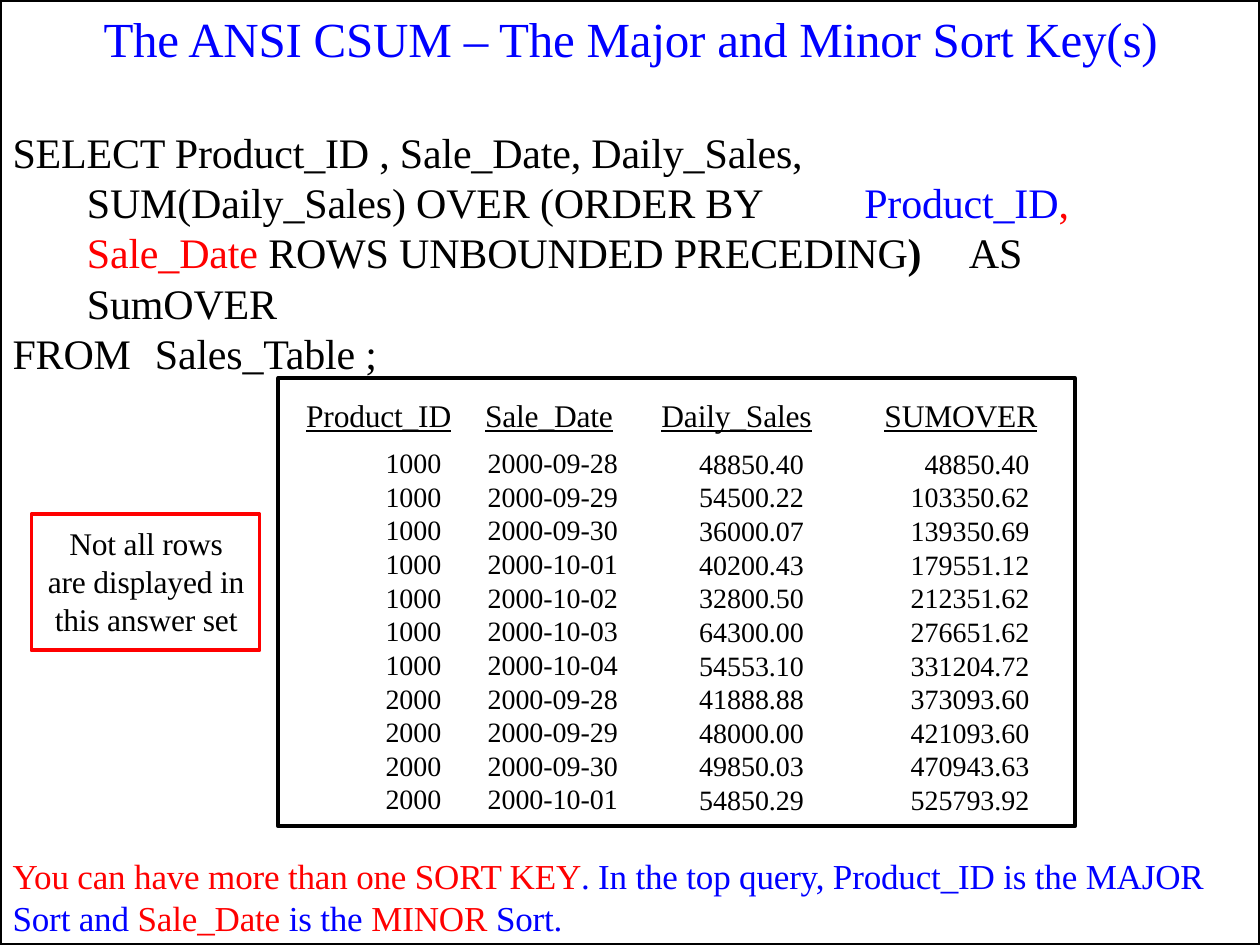
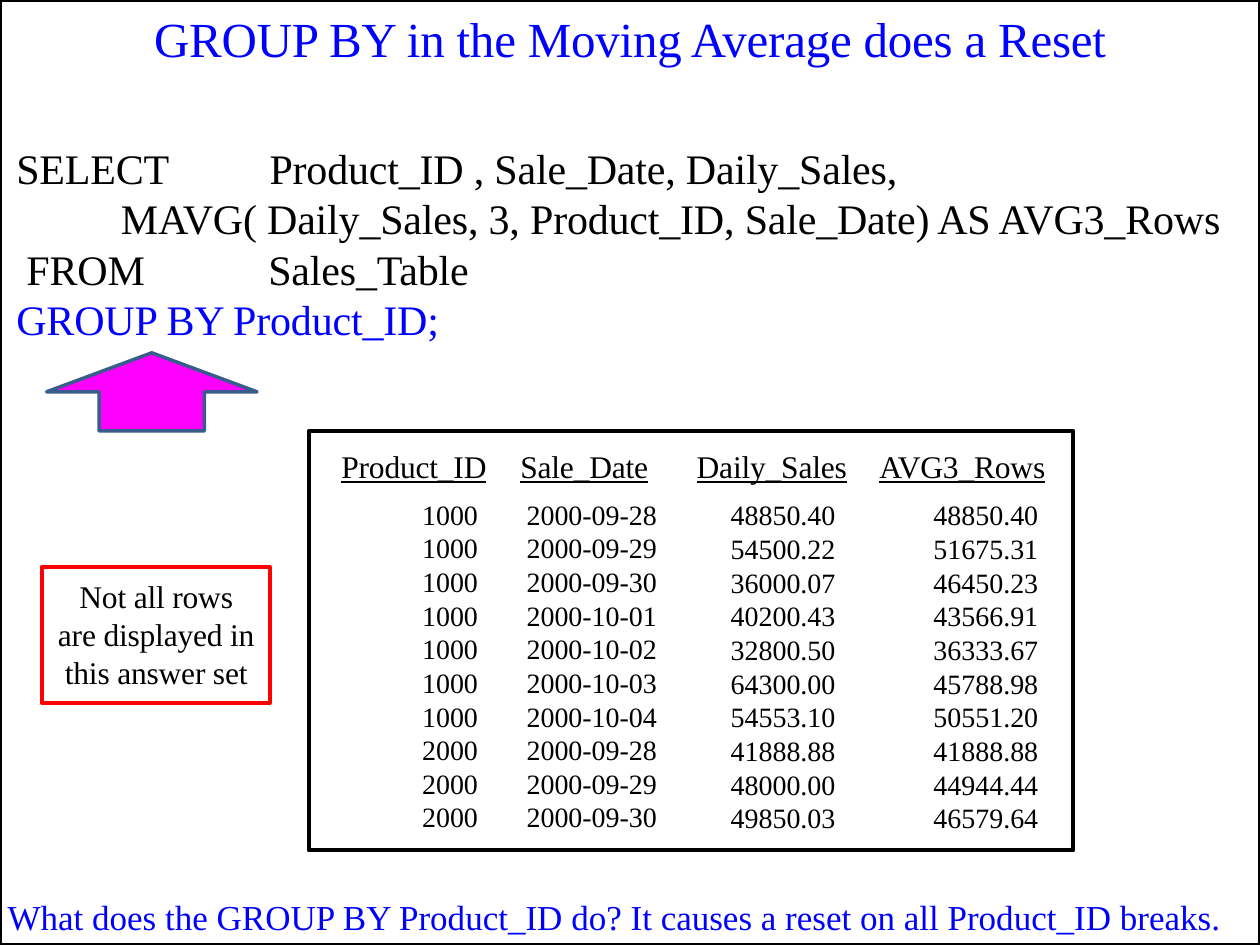
"""Build two slides on SQL ordered analytics, each with a query, an answer set and a remark."""
from lxml.etree import SubElement
from pptx import Presentation
from pptx.dml.color import RGBColor
from pptx.enum.shapes import MSO_SHAPE as SHAPE
from pptx.enum.text import PP_ALIGN as ALIGN
from pptx.oxml.ns import qn
from pptx.util import Inches, Pt

BLACK = RGBColor(0x00, 0x00, 0x00)
BLUE = RGBColor(0x00, 0x00, 0xFF)
RED = RGBColor(0xFF, 0x00, 0x00)
MAGENTA = RGBColor(0xFF, 0x00, 0xFF)
STEEL = RGBColor(0x38, 0x5D, 0x8A)
FONT = "Times New Roman"
COLS, ROWS = 100, 75
TABLE_ROW = 2.67
NOTE = ["Not all rows", "are displayed in", "this answer set"]

DATES = ["2000-09-28", "2000-09-29", "2000-09-30", "2000-10-01", "2000-10-02",
         "2000-10-03", "2000-10-04", "2000-09-28", "2000-09-29", "2000-09-30",
         "2000-10-01"]
SALES = ["48850.40", "54500.22", "36000.07", "40200.43", "32800.50", "64300.00",
         "54553.10", "41888.88", "48000.00", "49850.03", "54850.29"]
PRODUCTS = ["1000"] * 7 + ["2000"] * 4
SUMS = ["48850.40", "103350.62", "139350.69", "179551.12", "212351.62",
        "276651.62", "331204.72", "373093.60", "421093.60", "470943.63",
        "525793.92"]
AVERAGES = ["48850.40", "51675.31", "46450.23", "43566.91", "36333.67",
            "45788.98", "50551.20", "41888.88", "44944.44", "46579.64"]


def unit(n):
    return Inches(n / 10)


class Deck:
    def __init__(self):
        self.prs = Presentation()
        self.prs.slide_width, self.prs.slide_height = unit(COLS), unit(ROWS)
        self.s = None

    def slide(self, title, left, width):
        self.s = self.prs.slides.add_slide(self.prs.slide_layouts[6])
        self.shape((0, 0, COLS, ROWS), BLACK, 2)
        self.text((left, 0.5, width, 4.9), [[(title, BLUE)]], 28, align=ALIGN.CENTER)

    def shape(self, at, line, weight, fill=None, kind=SHAPE.RECTANGLE):
        sp = self.s.shapes.add_shape(kind, *map(unit, at))
        sp.shadow.inherit = False
        if fill is None:
            sp.fill.background()
        else:
            sp.fill.solid()
            sp.fill.fore_color.rgb = fill
        sp.line.color.rgb = line
        sp.line.width = Pt(weight)
        return sp

    def run(self, p, text, size, color=BLACK, bold=False, underline=False, spacing=0):
        r = p.add_run()
        r.text = text
        font = r.font
        font.name, font.size = FONT, Pt(size)
        font.bold, font.underline = bold, underline
        font.color.rgb = color
        if spacing:
            r._r.get_or_add_rPr().set("spc", str(spacing))

    def layout(self, p, indent, tabs):
        pPr = p._p.get_or_add_pPr()
        pPr.set("marL", str(unit(indent)))
        if tabs:
            tab_list = SubElement(pPr, qn("a:tabLst"))
            for pos in tabs:
                SubElement(tab_list, qn("a:tab"), pos=str(unit(pos)), algn="l")

    def text(self, at, lines, size, layouts=(), align=ALIGN.LEFT, underline=False,
             spacing=-10):
        tf = self.s.shapes.add_textbox(*map(unit, at)).text_frame
        self.fill_frame(tf, lines, size, 0.2, layouts, align, underline, spacing)

    def fill_frame(self, tf, lines, size, top, layouts=(), align=ALIGN.LEFT,
                   underline=False, spacing=-10):
        tf.word_wrap = True
        tf.margin_left = tf.margin_right = tf.margin_bottom = 0
        tf.margin_top = unit(top)
        for i, line in enumerate(lines):
            p = tf.paragraphs[0] if i == 0 else tf.add_paragraph()
            p.alignment = align
            self.layout(p, *(layouts[i] if layouts else (0.1, ())))
            for text, *style in line:
                self.run(p, text, size, *style, underline=underline, spacing=spacing)

    def note(self, left, top):
        tf = self.shape((left, top, 18.1, 10.8), RED, 2.25).text_frame
        tf.vertical_anchor = 1
        self.fill_frame(tf, [[(line,)] for line in NOTE], 18, 0.8, align=ALIGN.CENTER)

    def headers(self, top, columns):
        for name, left, width in columns:
            self.text((left, top, width, 3.3), [[(name,)]], 18, underline=True)

    def table(self, left, top, widths, indents, rows):
        frame = self.s.shapes.add_table(len(rows), len(widths), unit(left), unit(top),
                                        unit(sum(widths)), unit(TABLE_ROW * len(rows)))
        tb = frame.table
        tb.first_row = tb.horz_banding = False
        for col, width in zip(tb.columns, widths):
            col.width = unit(width)
        for i, values in enumerate(rows):
            tb.rows[i].height = unit(TABLE_ROW)
            for j, value in enumerate(values):
                cell = tb.cell(i, j)
                cell.fill.background()
                cell.margin_top = cell.margin_bottom = 0
                cell.margin_left = unit(indents[j])
                cell.margin_right = unit(0.3 if j == 3 else 0)
                p = cell.text_frame.paragraphs[0]
                p.alignment = ALIGN.RIGHT if j == 3 else ALIGN.LEFT
                p.line_spacing = Pt(17.8 if j < 2 else 18.2)
                self.run(p, value, 16)


def sort_keys(deck):
    deck.slide("The ANSI CSUM – The Major and Minor Sort Key(s)", 7.6, 84.8)
    deck.text((0.9, 9.8, 92.8, 20.1), [
        [("SELECT Product_ID , Sale_Date, Daily_Sales,",)],
        [("SUM(Daily_Sales) OVER (ORDER BY\t",), ("Product_ID", BLUE),
         (", Sale_Date ", RED), ("ROWS UNBOUNDED PRECEDING",), (")\t", BLACK, True),
         ("AS SumOVER",)],
        [("FROM\tSales_Table ;",)],
    ], 24, [(0.1, ()), (6, (61.7, 70)), (0.1, (11.3,))])
    deck.headers(31.2, [("Product_ID", 24.2, 11.9), ("Sale_Date", 38.4, 10.6),
                        ("Daily_Sales", 52.4, 12.4), ("SUMOVER", 70.1, 12.5)])
    deck.text((0.9, 67.6, 96.5, 7), [[
        ("You can have more than one SORT KEY", RED),
        (". In the top query, Product_ID is the MAJOR Sort and ", BLUE),
        ("Sale_Date ", RED), ("is the ", BLUE), ("MINOR ", RED), ("Sort.", BLUE)]], 20)
    deck.table(30.3, 35.6, [6.6, 15.4, 15.7, 14], [0.3, 1.8, 3.2, 0],
               list(zip(PRODUCTS, DATES, SALES, SUMS)))
    deck.shape((22.1, 30, 63.2, 35.6), BLACK, 2.25)
    deck.note(2.5, 40.8)


def group_reset(deck):
    deck.slide("GROUP BY in the Moving Average does a Reset", 11.7, 76.5)
    deck.text((1.2, 11.1, 98, 16.3), [
        [("SELECT\tProduct_ID , Sale_Date, Daily_Sales,",)],
        [("MAVG( Daily_Sales, 3, Product_ID, Sale_Date) AS AVG3_Rows",)],
        [("FROM\tSales_Table",)],
        [("GROUP BY Product_ID;", BLUE)],
    ], 24, [(0.1, (20.1,)), (8.4, ()), (0.9, (19.2,)), (0.1, ())])
    deck.text((0.5, 70.9, 97.5, 3.6), [[
        ("What does the GROUP BY Product_ID do? "
         "It causes a reset on all Product_ID breaks.", BLUE)]], 20, spacing=0)
    deck.headers(35.3, [("Product_ID", 27, 12), ("Sale_Date", 41.2, 12.4),
                        ("Daily_Sales", 55.2, 12.4), ("AVG3_Rows", 69.7, 13.6)])
    deck.table(33.2, 39.7, [6.7, 15.2, 15.1, 12.5], [0.3, 1.9, 2.9, 0],
               list(zip(PRODUCTS, DATES, SALES, AVERAGES)))
    deck.shape((24.5, 34.2, 60.7, 33.3), BLACK, 2.25)
    deck.shape((3.7, 28, 16.7, 6.2), STEEL, 2, MAGENTA, SHAPE.UP_ARROW)
    deck.note(3.3, 45)


def main():
    deck = Deck()
    sort_keys(deck)
    group_reset(deck)
    deck.prs.save("out.pptx")


if __name__ == "__main__":
    main()
